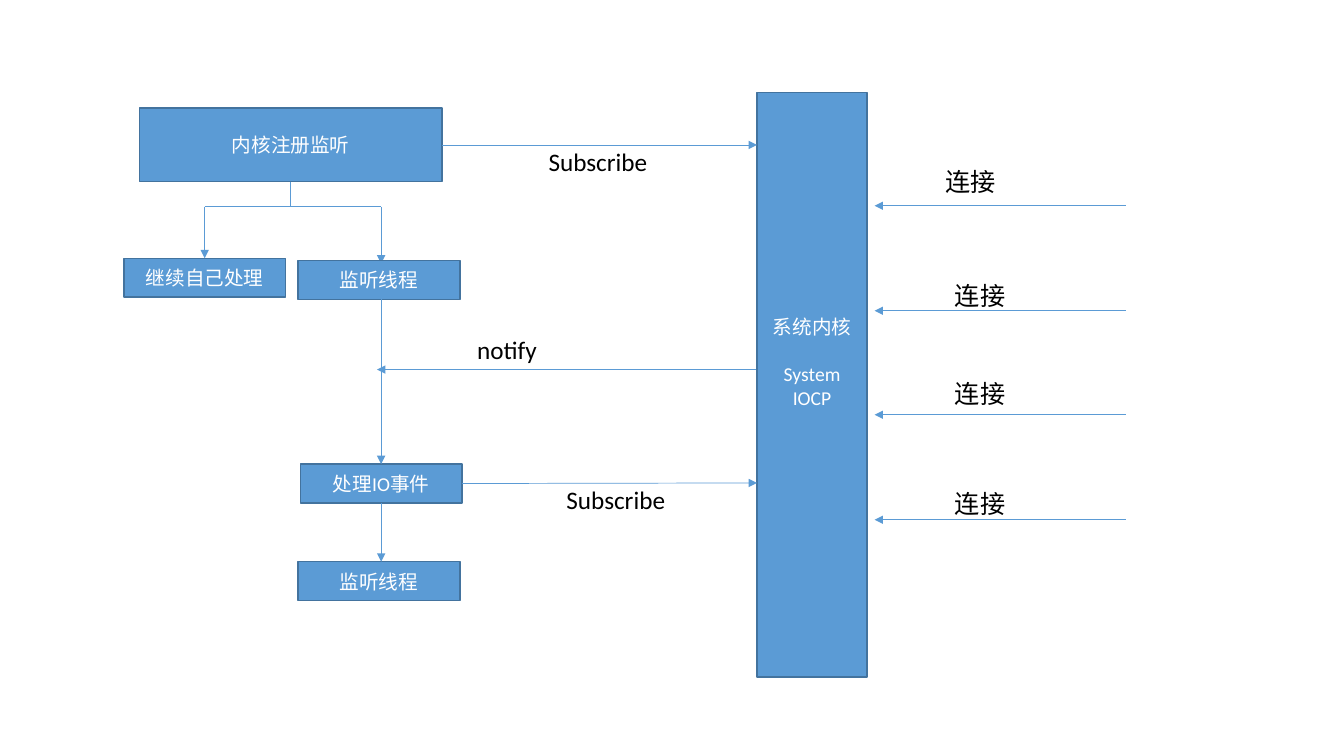
from lxml import etree
from pptx import Presentation, util as u
from pptx.dml.color import RGBColor
from pptx.enum import shapes, text
from pptx.oxml import ns

PX = 9525  # EMU per px, 96 px to the inch
COLORS = {"fill": "5B9BD5", "border": "43739E", "box_text": "FFFFFF", "label": "000000"}

presentation = Presentation()
presentation.slide_width, presentation.slide_height = 1280 * PX, 720 * PX
slide = presentation.slides.add_slide(presentation.slide_layouts[6])


def write(shape, content, size, color, align):
    shape.text_frame.text = content
    shape.text_frame.word_wrap = True
    for paragraph in shape.text_frame.paragraphs:
        paragraph.alignment = align
        for run in paragraph.runs:
            run.font.size = u.Pt(size)
            run.font.name = "Calibri"
            run.font.color.rgb = RGBColor.from_string(COLORS[color])


def connect(x1, y1, x2, y2, arrow=True):
    connector = slide.shapes.add_connector(
        shapes.MSO_CONNECTOR.STRAIGHT, x1 * PX, y1 * PX, x2 * PX, y2 * PX)
    connector.line.width = u.Pt(0.5)
    connector.line.color.rgb = RGBColor.from_string(COLORS["fill"])
    if arrow:
        etree.SubElement(connector.line._get_or_add_ln(), ns.qn("a:tailEnd"), type="triangle")
    etree.SubElement(connector._element.spPr, ns.qn("a:effectLst"))
    return connector


# Incoming connections, kernel notification and fork to the listener
for y in (196, 296, 395, 495):
    connect(1072, y, 833, y)
connect(721, 352, 359, 352)
connect(195, 197, 363, 197, arrow=False)
connect(363, 197, 363, 251)

# Boxes
boxes = {}
for name, content, left, top, width, height in (
    ("kernel", "系统内核\nSystem IOCP", 721, 88, 105, 557),
    ("register", "内核注册监听", 133, 103, 288, 70),
    ("continue", "继续自己处理", 118, 246, 154, 37),
    ("listen", "监听线程", 284, 248, 154, 37),
    ("handle", "处理IO事件", 286, 442, 154, 37),
    ("listen again", "监听线程", 284, 535, 154, 37),
):
    box = slide.shapes.add_shape(
        shapes.MSO_SHAPE.RECTANGLE, left * PX, top * PX, width * PX, height * PX)
    box.shadow.inherit = False
    box.fill.solid()
    box.fill.fore_color.rgb = RGBColor.from_string(COLORS["fill"])
    box.line.color.rgb = RGBColor.from_string(COLORS["border"])
    box.line.width = u.Pt(1)
    box.text_frame.vertical_anchor = text.MSO_ANCHOR.MIDDLE
    write(box, content, 14, "box_text", text.PP_ALIGN.CENTER)
    boxes[name] = box

# Kernel text sits above the middle, with a gap between its two parts
kernel_frame = boxes["kernel"].text_frame
kernel_frame.margin_bottom = 48 * PX
kernel_frame.paragraphs[1].space_before = u.Pt(17)

# Arrows and lines joined to boxes
connect(421, 138, 721, 138).begin_connect(boxes["register"], 3)
connect(277, 173, 277, 197, arrow=False).begin_connect(boxes["register"], 2)
connect(195, 197, 195, 246).end_connect(boxes["continue"], 0)
connect(363, 285, 363, 442).end_connect(boxes["handle"], 0)
connect(440, 460, 721, 460).begin_connect(boxes["handle"], 3)
connect(363, 479, 363, 535).begin_connect(boxes["handle"], 2)

# Labels
for content, left, top, width in (
    ("连接", 891, 154, 68),
    ("连接", 900, 262, 68),
    ("连接", 900, 356, 68),
    ("连接", 900, 460, 68),
    ("notify", 445, 314, 117),
    ("Subscribe", 513, 135, 114),
    ("Subscribe", 530, 457, 114),
):
    label = slide.shapes.add_textbox(left * PX, top * PX, width * PX, 38 * PX)
    label.text_frame.margin_right = 0
    write(label, content, 18, "label", text.PP_ALIGN.LEFT)

presentation.save("out.pptx")
